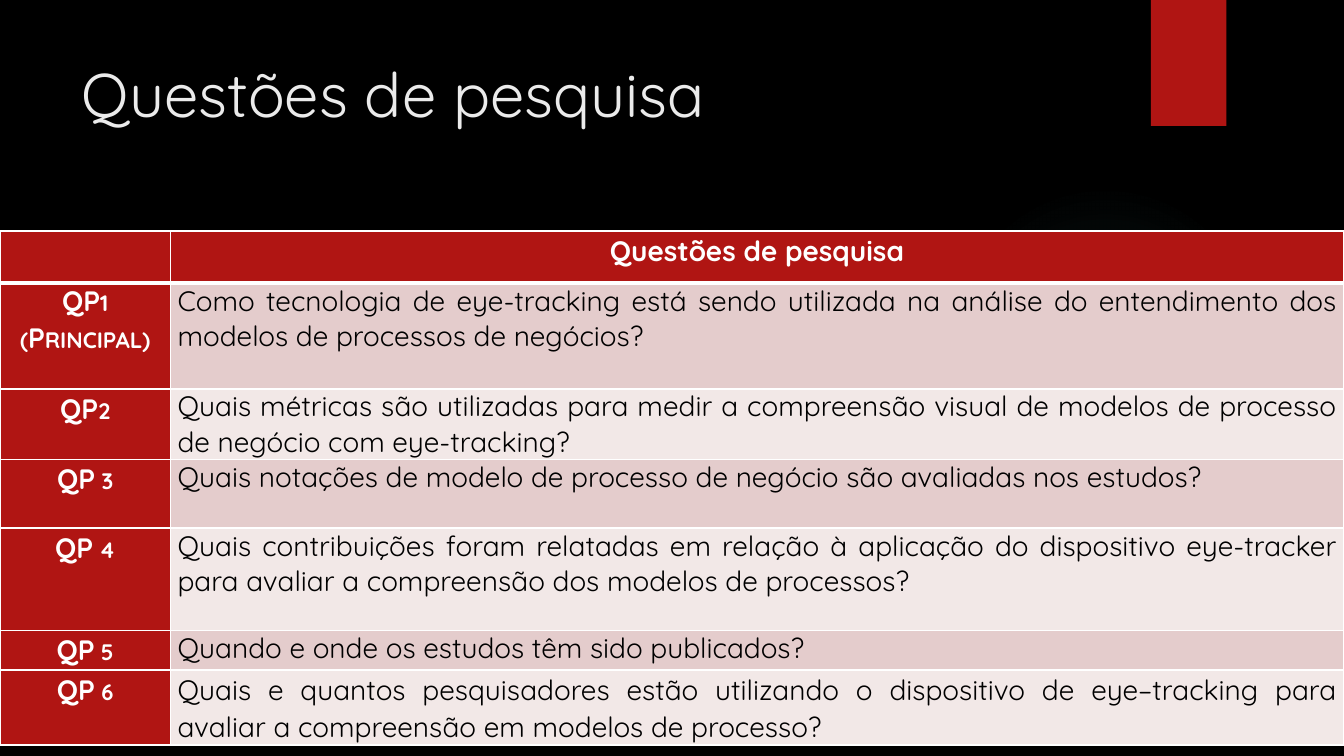
"""Build the research questions slide."""
from pptx import Presentation
from pptx.dml.color import RGBColor as RGB
from pptx.enum.shapes import MSO_SHAPE as SHAPE
from pptx.enum.text import MSO_ANCHOR as ANCHOR, PP_ALIGN as ALIGN
from pptx.oxml import parse_xml as to_xml
from pptx.oxml.ns import nsdecls
from pptx.util import Inches, Pt

BLACK = RGB(0x00, 0x00, 0x00)
WHITE = RGB(0xFF, 0xFF, 0xFF)
PALE = RGB(0xEB, 0xEB, 0xEB)
RED = RGB(0xB0, 0x15, 0x13)
TEAL = RGB(0x50, 0xB9, 0xC1)
BANDS = RGB(0xE4, 0xCC, 0xCC), RGB(0xF2, 0xE8, 0xE7)
COLS, ROWS = 160, 90
NS = nsdecls("a")

HEAD = "Questões de pesquisa"
ITEMS = [
    (12.6, ["QP1", "(Principal)"], "Como tecnologia de eye-tracking está sendo utilizada na "
     "análise do entendimento dos modelos de processos de negócios?"),
    (8.2, ["QP2"], "Quais métricas são utilizadas para medir a compreensão visual de "
     "modelos de processo de negócio com eye-tracking?"),
    (8.2, ["QP 3"], "Quais notações de modelo de processo de negócio são avaliadas nos estudos?"),
    (12.2, ["QP 4"], "Quais contribuições foram relatadas em relação à aplicação do "
     "dispositivo eye-tracker para avaliar a compreensão dos modelos de processos?"),
    (4.7, ["QP 5"], "Quando e onde os estudos têm sido publicados?"),
    (8.5, ["QP 6"], "Quais e quantos pesquisadores estão utilizando o dispositivo de "
     "eye–tracking para avaliar a compreensão em modelos de processo?"),
]


def put(item, **vals):
    for name, val in vals.items():
        setattr(item, name, val)


class Deck:
    def __init__(self, font):
        self.font = font
        self.prs = Presentation()
        put(self.prs, slide_width=Inches(13.33), slide_height=Inches(7.5))
        self.slide = self.prs.slides.add_slide(self.prs.slide_layouts[5])
        back = self.slide.background.fill
        back.solid()
        back.fore_color.rgb = BLACK

    def wide(self, n):
        return round(self.prs.slide_width * n / COLS)

    def high(self, n):
        return round(self.prs.slide_height * n / ROWS)

    def box(self, x, y, w, h):
        return self.wide(x), self.high(y), self.wide(w), self.high(h)

    def label(self, par, text, size, color, bold=False, caps=False):
        run = par.add_run()
        run.text = text
        put(run.font, name=self.font, size=Pt(size), bold=bold)
        run.font.color.rgb = color
        if caps:
            run.font._element.set("cap", "small")

    def title(self, area, text):
        item = self.slide.shapes.title
        put(item, **dict(zip(("left", "top", "width", "height"), self.box(*area))))
        put(item.text_frame, vertical_anchor=ANCHOR.TOP, word_wrap=True)
        par = item.text_frame.paragraphs[0]
        par.alignment = ALIGN.LEFT
        self.label(par, text, 44, PALE)

    def shape(self, kind, area):
        item = self.slide.shapes.add_shape(kind, *self.box(*area))
        item.shadow.inherit = False
        item.line.fill.background()
        return item

    def block(self, area, color):
        fill = self.shape(SHAPE.RECTANGLE, area).fill
        fill.solid()
        fill.fore_color.rgb = color

    def glow(self, area, color, stops):
        item = self.shape(SHAPE.OVAL, area)
        marks = "".join(
            f'<a:gs pos="{pos * 1000}"><a:srgbClr val="{color}">'
            f'<a:alpha val="{alpha * 1000}"/></a:srgbClr></a:gs>' for pos, alpha in stops)
        item.element.spPr.insert(2, to_xml(
            f'<a:gradFill {NS}><a:gsLst>{marks}</a:gsLst><a:path path="circle">'
            '<a:fillToRect l="50000" t="50000" r="50000" b="50000"/></a:path></a:gradFill>'))

    def table(self, area, cols, rows):
        grid = self.slide.shapes.add_table(len(rows), len(cols), *self.box(*area)).table
        for col, size in zip(grid.columns, cols):
            col.width = self.wide(size)
        for row, size in zip(grid.rows, rows):
            row.height = self.high(size)
        return grid

    def cell(self, cell, fill, lines=(), align=ALIGN.CENTER, gaps=(), base=1, top=1, **look):
        put(cell, margin_left=Inches(0.07), margin_right=Inches(0.07),
            margin_top=0, margin_bottom=0, vertical_anchor=ANCHOR.TOP)
        edge = cell._tc.get_or_add_tcPr()
        for side, size in dict(L=1, R=1, T=top, B=base).items():
            edge.append(to_xml(
                f'<a:ln{side} {NS} w="{Pt(size)}"><a:solidFill>'
                f'<a:srgbClr val="{WHITE}"/></a:solidFill></a:ln{side}>'))
        cell.fill.solid()
        cell.fill.fore_color.rgb = fill
        frame = cell.text_frame
        for i, (line, gap) in enumerate(zip(lines, gaps)):
            par = frame.add_paragraph() if i else frame.paragraphs[0]
            put(par, alignment=align, line_spacing=gap)
            self.label(par, line, 20, **look)


deck = Deck("Quicksand")
deck.glow((113, 22, 37, 37), TEAL, [(0, 7), (36, 6), (69, 0)])
deck.block((137, 0, 9, 15), RED)
deck.title((8.5, 6, 123.5, 18.4), HEAD)
sizes = [6.2] + [size for size, _, _ in ITEMS]
grid = deck.table((0, 27.5, COLS, sum(sizes)), (20.3, COLS - 20.3), sizes)
deck.cell(grid.cell(0, 0), RED, base=3)
deck.cell(grid.cell(0, 1), RED, [HEAD], gaps=[1.07], base=3, color=WHITE, bold=True)
for n, (_, names, text) in enumerate(ITEMS, 1):
    top = 3 if n == 1 else 1
    gaps = [1, 1.07][-len(names):]
    deck.cell(grid.cell(n, 0), RED, names, gaps=gaps, top=top,
              color=WHITE, bold=True, caps=True)
    deck.cell(grid.cell(n, 1), BANDS[(n - 1) % 2], [text], ALIGN.JUSTIFY, top=top,
              gaps=[1.07 if n == len(ITEMS) else 1], color=BLACK)
deck.prs.save("out.pptx")
